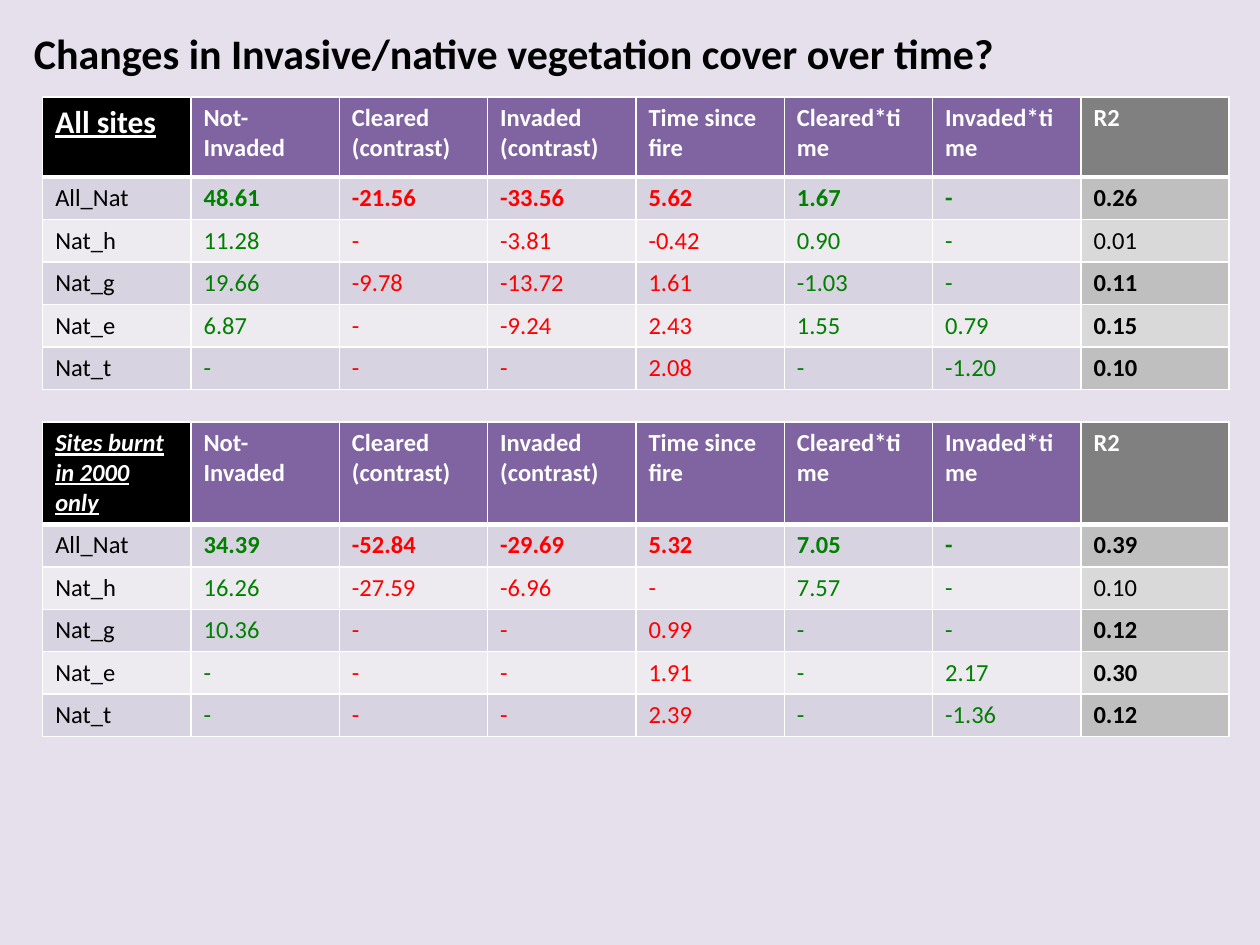
from lxml import etree
from pptx import Presentation
from pptx import util as u
from pptx.dml.color import RGBColor
from pptx.enum import text
from pptx.oxml import ns

HEADINGS = ["Not-Invaded", "Cleared (contrast)", "Invaded (contrast)",
            "Time since fire", "Cleared*time", "Invaded*time", "R2"]
GREEN, RED, BLACK, WHITE = "008000", "FF0000", "000000", "FFFFFF"
COLUMN_COLORS = [BLACK, GREEN, RED, RED, RED, GREEN, GREEN, BLACK]
ALL_SITES = [
    ["All_Nat", "48.61", "-21.56", "-33.56", "5.62", "1.67", "-", "0.26"],
    ["Nat_h", "11.28", "-", "-3.81", "-0.42", "0.90", "-", "0.01"],
    ["Nat_g", "19.66", "-9.78", "-13.72", "1.61", "-1.03", "-", "0.11"],
    ["Nat_e", "6.87", "-", "-9.24", "2.43", "1.55", "0.79", "0.15"],
    ["Nat_t", "-", "-", "-", "2.08", "-", "-1.20", "0.10"],
]
BURNT_SITES = [
    ["All_Nat", "34.39", "-52.84", "-29.69", "5.32", "7.05", "-", "0.39"],
    ["Nat_h", "16.26", "-27.59", "-6.96", "-", "7.57", "-", "0.10"],
    ["Nat_g", "10.36", "-", "-", "0.99", "-", "-", "0.12"],
    ["Nat_e", "-", "-", "-", "1.91", "-", "2.17", "0.30"],
    ["Nat_t", "-", "-", "-", "2.39", "-", "-1.36", "0.12"],
]


def rgb(value):
    return RGBColor.from_string(value)


class CoverSlide:
    face = "Calibri"
    column_width = u.Cm(2.99)
    row_height = u.Cm(0.85)
    bands = ["D8D3E0", "EDEAF0"]
    r2_bands = ["BFBFBF", "D9D9D9"]

    def __init__(self, deck):
        self.slide = deck.slides.add_slide(deck.slide_layouts[5])
        background = self.slide.background.fill
        background.solid()
        background.fore_color.rgb = rgb("E6E0EC")

    def style(self, frame, size, color, bold=False, italic=False, underline=False):
        for run in frame.paragraphs[0].runs:
            font = run.font
            font.name, font.size = self.face, u.Pt(size)
            font.bold, font.italic, font.underline = bold, italic, underline
            font.color.rgb = rgb(color)

    def title(self, wording):
        heading = self.slide.shapes.title
        heading.left, heading.top = u.Cm(0.43), u.Cm(0.43)
        heading.width, heading.height = u.Cm(24.97), u.Cm(1.28)
        frame = heading.text_frame
        frame.text = wording
        frame.word_wrap = True
        frame.auto_size = text.MSO_AUTO_SIZE.NONE
        frame.vertical_anchor = text.MSO_ANCHOR.TOP
        frame.paragraphs[0].alignment = text.PP_ALIGN.LEFT
        self.style(frame, 24, BLACK, bold=True)

    def borders(self, cell, top, bottom):
        properties = cell._tc.get_or_add_tcPr()
        for side, points in (("L", 1), ("R", 1), ("T", top), ("B", bottom)):
            line = etree.SubElement(properties, ns.qn(f"a:ln{side}"), w=str(u.Pt(points)))
            fill = etree.SubElement(line, ns.qn("a:solidFill"))
            etree.SubElement(fill, ns.qn("a:srgbClr"), val=WHITE)

    def cell(self, cell, wording, fill, top, bottom, **font):
        cell.text = wording
        self.style(cell.text_frame, **font)
        self.borders(cell, top, bottom)
        cell.fill.solid()
        cell.fill.fore_color.rgb = rgb(fill)

    def table(self, top, header_height, corner, corner_font, records):
        columns = len(HEADINGS) + 1
        last = columns - 1
        grid = self.slide.shapes.add_table(
            len(records) + 1, columns, u.Cm(0.86), top, self.column_width * columns,
            header_height + self.row_height * len(records)).table
        for column in grid.columns:
            column.width = self.column_width
        grid.rows[0].height = header_height
        for c, heading in enumerate([corner] + HEADINGS):
            fill = {0: BLACK, last: "808080"}.get(c, "8064A2")
            font = {"size": 14, "color": WHITE, "bold": True}
            if c == 0:
                font.update(corner_font)
            self.cell(grid.cell(0, c), heading, fill, 1, 3, **font)
        for r, record in enumerate(records):
            grid.rows[r + 1].height = self.row_height
            for c, value in enumerate(record):
                bands = self.r2_bands if c == last else self.bands
                bold = c > 0 and r == 0 or c == last and r != 1
                self.cell(grid.cell(r + 1, c), value, bands[r % 2], 3 if r == 0 else 1, 1,
                          size=14, color=COLUMN_COLORS[c], bold=bold)


def main():
    deck = Presentation()
    deck.slide_width, deck.slide_height = u.Cm(25.4), u.Cm(19.05)
    cover = CoverSlide(deck)
    cover.title("Changes in Invasive/native vegetation cover over time?")
    cover.table(u.Cm(1.96), u.Cm(1.61), "All sites",
                {"size": 18, "underline": True}, ALL_SITES)
    cover.table(u.Cm(8.51), u.Cm(2.06), "Sites burnt in 2000 only",
                {"italic": True, "underline": True}, BURNT_SITES)
    deck.save("out.pptx")


if __name__ == "__main__":
    main()
